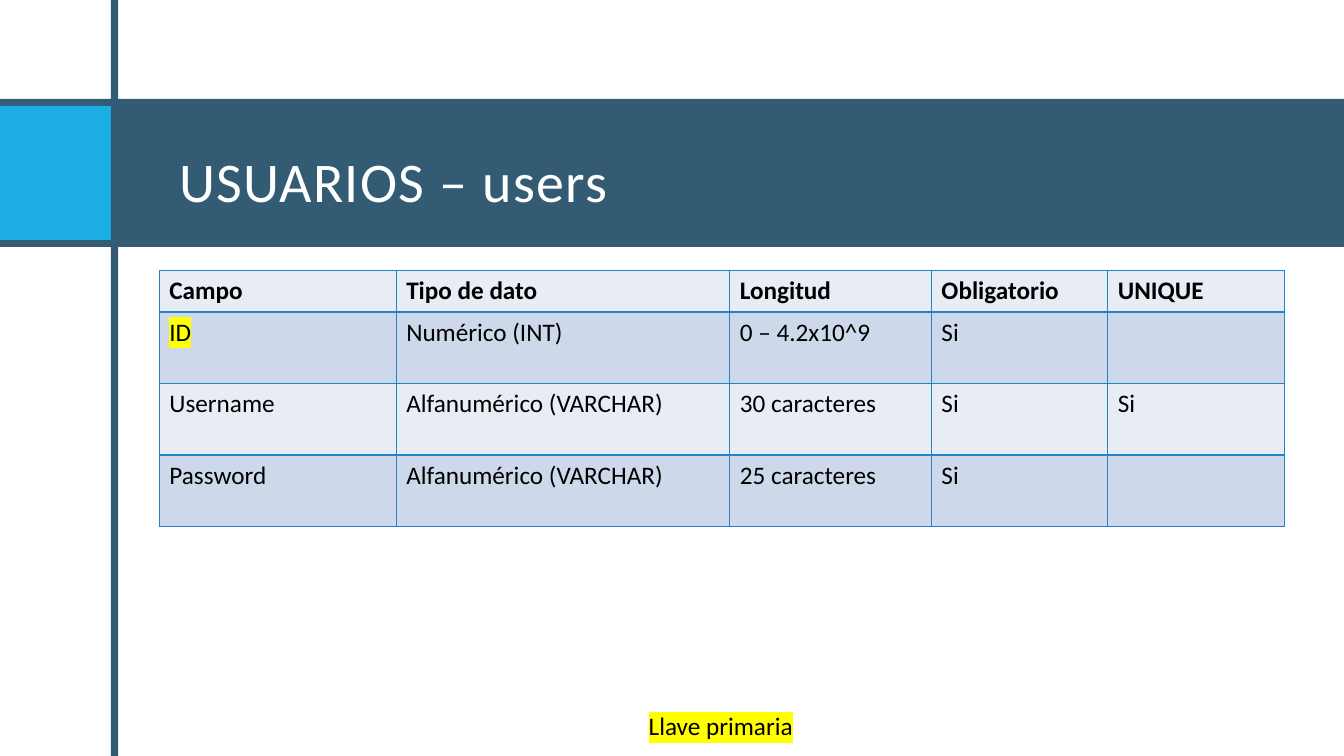
from pptx import Presentation
from pptx.dml.color import RGBColor
from pptx.enum.shapes import MSO_SHAPE
from pptx.enum.text import MSO_ANCHOR, PP_ALIGN
from pptx.oxml import parse_xml
from pptx.oxml.ns import nsdecls
from pptx.util import Pt

INK = {"navy": "335B74", "sky": "1CADE4", "white": "FFFFFF", "black": "000000",
       "line": "2683C6", "pale": "E8EDF5", "mist": "CDD9EA", "mark": "FFFF00"}
TITLE = "USUARIOS – users"
NOTE = "Llave primaria"
ROWS = [
    ("Campo", "Tipo de dato", "Longitud", "Obligatorio", "UNIQUE"),
    ("ID", "Numérico (INT)", "0 – 4.2x10^9", "Si", ""),
    ("Username", "Alfanumérico (VARCHAR)", "30 caracteres", "Si", "Si"),
    ("Password", "Alfanumérico (VARCHAR)", "25 caracteres", "Si", ""),
]
KEYS = ("ID", NOTE)
WIDTHS = (169.2, 238.3, 144, 126, 126)
HEAD, BODY = 29.6, 51.1
WIDE, HIGH = 960, 540
BARS = [
    (0, 70.6, WIDE, 105.8, "navy"),
    (0, 75.6, 79.2, 95.8, "sky"),
    (79.2, 0, 5.2, HIGH, "navy"),
]


def color(name):
    return RGBColor.from_string(INK[name])


def write(para, text, hue="black", **form):
    run = para.add_run()
    run.text = text
    for key, val in {"name": "Calibri", "size": Pt(18), **form}.items():
        setattr(run.font, key, val)
    run.font.color.rgb = color(hue)
    props = run._r.get_or_add_rPr()
    if text in KEYS:
        mark = parse_xml(f'<a:highlight {nsdecls("a")}><a:srgbClr val="{INK["mark"]}"/></a:highlight>')
        props.find("{*}solidFill").addnext(mark)
    return props


def border(cell):
    props = cell._tc.get_or_add_tcPr()
    for spot, side in enumerate(("lnL", "lnR", "lnT", "lnB")):
        props.insert(spot, parse_xml(
            f'<a:{side} {nsdecls("a")} w="{Pt(1)}"><a:solidFill>'
            f'<a:srgbClr val="{INK["line"]}"/></a:solidFill></a:{side}>'))


def box(slide, area, **form):
    frame = slide.shapes.add_textbox(*map(Pt, area)).text_frame
    for key, val in {"word_wrap": True, **form}.items():
        setattr(frame, key, val)
    return frame.paragraphs[0]


def main():
    deck = Presentation()
    deck.slide_width, deck.slide_height = Pt(WIDE), Pt(HIGH)
    slide = deck.slides.add_slide(deck.slide_layouts[6])

    for *area, hue in BARS:
        bar = slide.shapes.add_shape(MSO_SHAPE.RECTANGLE, *map(Pt, area))
        bar.shadow.inherit = False
        bar.fill.solid()
        bar.fill.fore_color.rgb = color(hue)
        bar.line.fill.background()

    head = box(slide, (121, 75.6, 788.4, 95.8),
               vertical_anchor=MSO_ANCHOR.MIDDLE, margin_top=Pt(14.4))
    write(head, TITLE, "white", size=Pt(40)).set("spc", "100")

    tall = HEAD + BODY * (len(ROWS) - 1)
    grid = slide.shapes.add_table(len(ROWS), len(WIDTHS), Pt(113.8), Pt(193.3),
                                  Pt(sum(WIDTHS)), Pt(tall)).table
    for col, wide in zip(grid.columns, WIDTHS):
        col.width = Pt(wide)
    for r, row in enumerate(ROWS):
        grid.rows[r].height = Pt(BODY if r else HEAD)
        for c, text in enumerate(row):
            cell = grid.cell(r, c)
            cell.fill.solid()
            cell.fill.fore_color.rgb = color("mist" if r % 2 else "pale")
            border(cell)
            if text:
                write(cell.text_frame.paragraphs[0], text, bold=r == 0)

    note = box(slide, (263.5, 504, 502.6, 29))
    note.alignment = PP_ALIGN.CENTER
    write(note, NOTE)
    deck.save("out.pptx")


if __name__ == "__main__":
    main()
